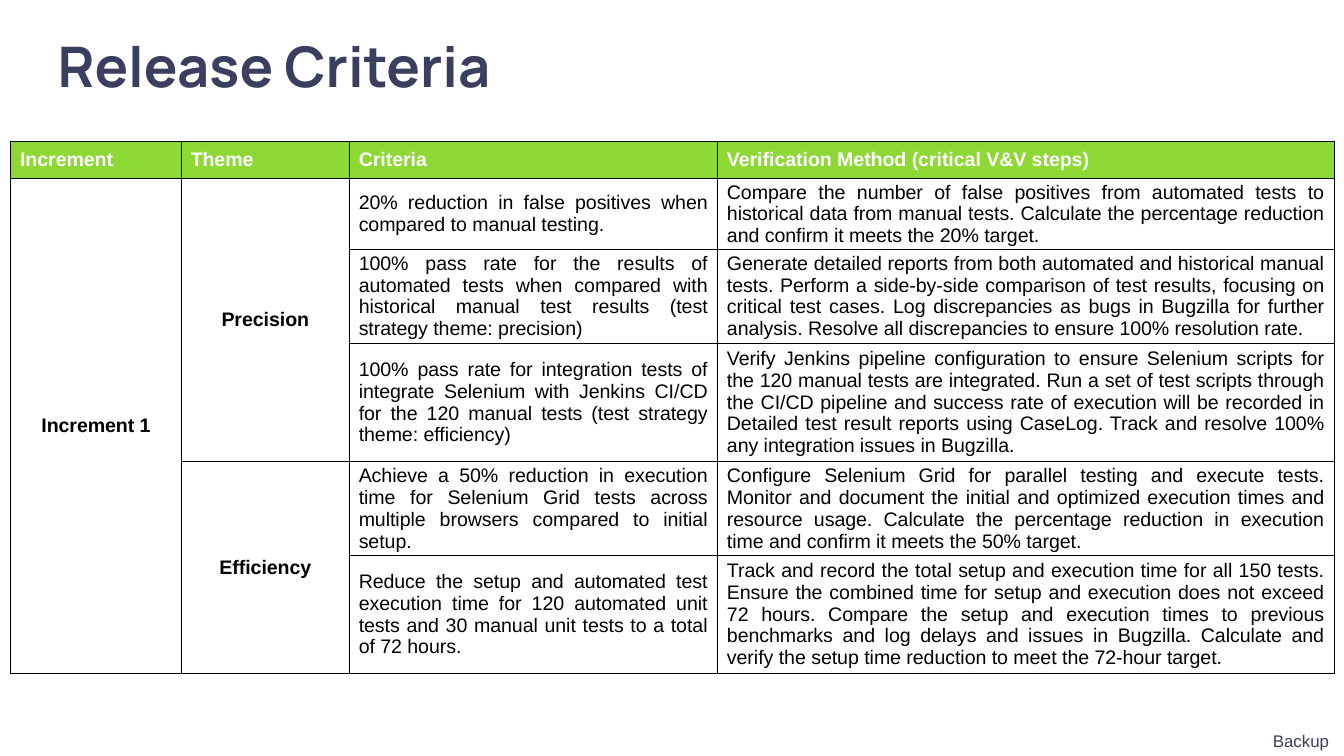
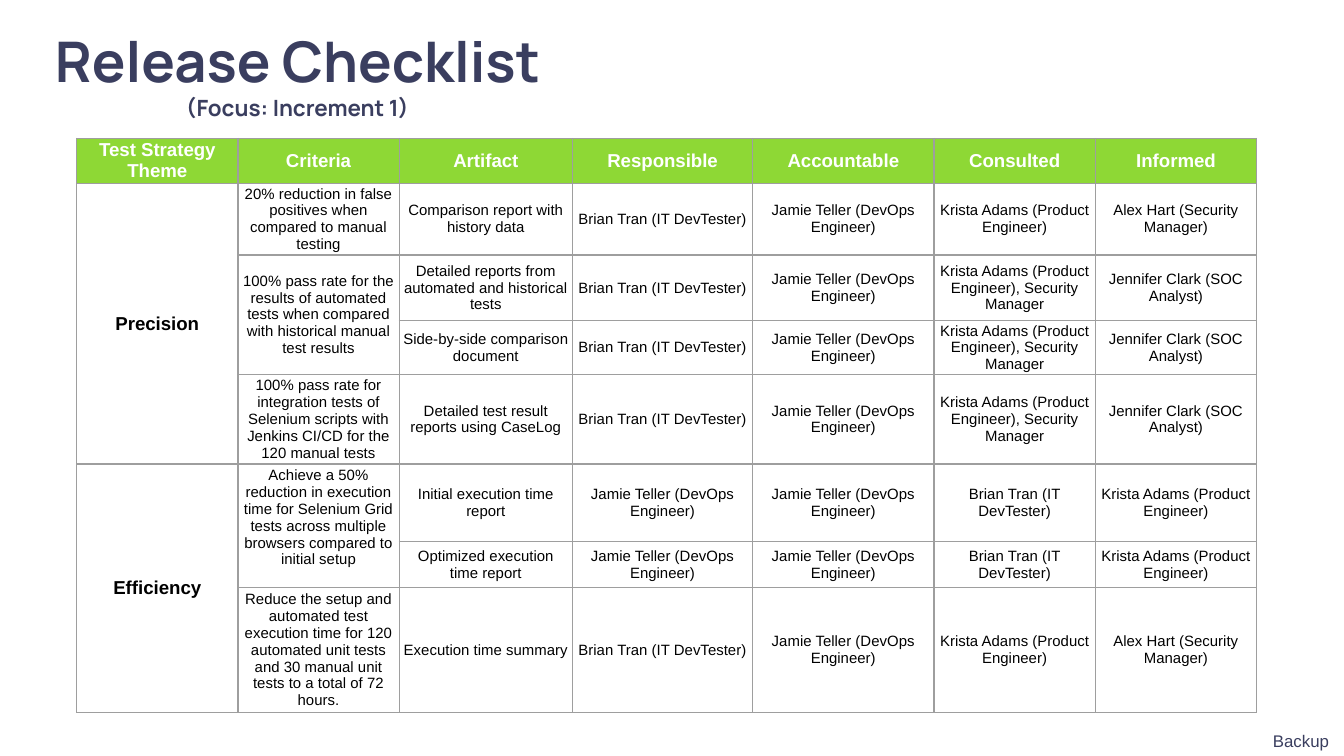
import pptx
import pptx.util
import pptx.dml.color
import pptx.enum.text
import pptx.oxml.ns
import lxml.etree

Inches = pptx.util.Inches
Pt = pptx.util.Pt
RGBColor = pptx.dml.color.RGBColor
ALIGN = pptx.enum.text.PP_ALIGN
ANCHOR = pptx.enum.text.MSO_ANCHOR
AUTO_SIZE = pptx.enum.text.MSO_AUTO_SIZE

# Shared colours and text formats
NAVY = RGBColor(0x3A, 0x3E, 0x5F)
GREEN = RGBColor(0x8E, 0xD8, 0x35)
WHITE = RGBColor(0xFF, 0xFF, 0xFF)
BLACK = RGBColor(0x00, 0x00, 0x00)
GREY = RGBColor(0x9E, 0x9E, 0x9E)

TITLE = {"name": "Manrope", "size": Pt(30), "bold": True}
SUBTITLE = {"name": "Manrope", "size": Pt(12), "bold": True}
FOOTER = {"name": "Arial", "size": Pt(9), "bold": False}
BORDER_WIDTH = Pt(0.75)
FRAME_SIDE = Inches(3.28)

# Release criteria: None continues the cell above
CRITERIA_ROWS = [
    ["Increment", "Theme", "Criteria", "Verification Method (critical V&V steps)"],
    ["Increment 1", "Precision",
     "20% reduction in false positives when compared to manual testing.",
     "Compare the number of false positives from automated tests to historical data "
     "from manual tests. Calculate the percentage reduction and confirm it meets the "
     "20% target."],
    [None, None,
     "100% pass rate for the results of automated tests when compared with historical "
     "manual test results (test strategy theme: precision)",
     "Generate detailed reports from both automated and historical manual tests. "
     "Perform a side-by-side comparison of test results, focusing on critical test "
     "cases. Log discrepancies as bugs in Bugzilla for further analysis. Resolve all "
     "discrepancies to ensure 100% resolution rate."],
    [None, None,
     "100% pass rate for integration tests of integrate Selenium with Jenkins CI/CD "
     "for the 120 manual tests (test strategy theme: efficiency)",
     "Verify Jenkins pipeline configuration to ensure Selenium scripts for the 120 "
     "manual tests are integrated. Run a set of test scripts through the CI/CD "
     "pipeline and success rate of execution will be recorded in Detailed test result "
     "reports using CaseLog. Track and resolve 100% any integration issues in "
     "Bugzilla."],
    [None, "Efficiency",
     "Achieve a 50% reduction in execution time for Selenium Grid tests across "
     "multiple browsers compared to initial setup.",
     "Configure Selenium Grid for parallel testing and execute tests. Monitor and "
     "document the initial and optimized execution times and resource usage. "
     "Calculate the percentage reduction in execution time and confirm it meets the "
     "50% target."],
    [None, None,
     "Reduce the setup and automated test execution time for 120 automated unit tests "
     "and 30 manual unit tests to a total of 72 hours.",
     "Track and record the total setup and execution time for all 150 tests. Ensure "
     "the combined time for setup and execution does not exceed 72 hours. Compare the "
     "setup and execution times to previous benchmarks and log delays and issues in "
     "Bugzilla. Calculate and verify the setup time reduction to meet the 72-hour "
     "target."],
]

# Release checklist, with the people who recur in it
TESTER = "Brian Tran (IT DevTester)"
DEVOPS = "Jamie Teller (DevOps Engineer)"
PRODUCT = "Krista Adams (Product Engineer)"
PRODUCT_SECURITY = PRODUCT + ", Security Manager"
SECURITY = "Alex Hart (Security Manager)"
ANALYST = "Jennifer Clark (SOC Analyst)"
REVIEWED = [TESTER, DEVOPS, PRODUCT_SECURITY, ANALYST]
SUMMARIZED = [TESTER, DEVOPS, PRODUCT, SECURITY]
TIMED = [DEVOPS, DEVOPS, TESTER, PRODUCT]

CHECKLIST_ROWS = [
    ["Test Strategy Theme", "Criteria", "Artifact",
     "Responsible", "Accountable", "Consulted", "Informed"],
    ["Precision",
     "20% reduction in false positives when compared to manual testing",
     "Comparison report with history data", *SUMMARIZED],
    [None,
     "100% pass rate for the results of automated tests when compared with historical "
     "manual test results",
     "Detailed reports from automated and historical tests", *REVIEWED],
    [None, None, "Side-by-side comparison document", *REVIEWED],
    [None,
     "100% pass rate for integration tests of Selenium scripts with Jenkins CI/CD for "
     "the 120 manual tests",
     "Detailed test result reports using CaseLog", *REVIEWED],
    ["Efficiency",
     "Achieve a 50% reduction in execution time for Selenium Grid tests across "
     "multiple browsers compared to initial setup",
     "Initial execution time report", *TIMED],
    [None, None, "Optimized execution time report", *TIMED],
    [None,
     "Reduce the setup and automated test execution time for 120 automated unit tests "
     "and 30 manual unit tests to a total of 72 hours.",
     "Execution time summary", *SUMMARIZED],
]


def write(para, text, style, color, align):
    para.alignment = align
    span = para.add_run()
    span.text = text
    for name, value in style.items():
        setattr(span.font, name, value)
    span.font.color.rgb = color


def add_text(page, box, lines, align, anchor):
    """Place (text, style) lines in a box of left, top, width, height."""
    frame = page.shapes.add_textbox(*(Inches(value) for value in box)).text_frame
    frame.word_wrap = True
    frame.vertical_anchor = anchor
    for side in ("left", "top", "right", "bottom"):
        setattr(frame, "margin_" + side, Inches(0.1))
    for index, (text, style) in enumerate(lines):
        para = frame.add_paragraph() if index else frame.paragraphs[0]
        write(para, text, style, NAVY, align)
    return frame


def add_borders(cell, color):
    properties = cell._tc.get_or_add_tcPr()
    for side in ("lnL", "lnR", "lnT", "lnB"):
        line = lxml.etree.SubElement(properties, pptx.oxml.ns.qn("a:" + side),
                                     w=str(BORDER_WIDTH))
        solid = lxml.etree.SubElement(line, pptx.oxml.ns.qn("a:solidFill"))
        lxml.etree.SubElement(solid, pptx.oxml.ns.qn("a:srgbClr"), val=str(color))


def add_grid(page, corner, widths, heights, rows, look):
    """Draw a table whose first look["themes"] columns hold bold row headings."""
    left, top = (Inches(value) for value in corner)
    holder = page.shapes.add_table(len(rows), len(widths), left, top,
                                   FRAME_SIDE, FRAME_SIDE)
    table = holder.table
    table.first_row = table.horz_banding = False
    for column, width in zip(table.columns, widths):
        column.width = Inches(width)
    for row, height in zip(table.rows, heights):
        row.height = Inches(height)
    # A small frame lets each row grow only as far as its text
    holder.width = holder.height = FRAME_SIDE

    for r, texts in enumerate(rows):
        for c, text in enumerate(texts):
            cell = table.cell(r, c)
            cell.margin_left = cell.margin_right = Inches(look["margin"])
            cell.margin_top = cell.margin_bottom = 0
            cell.vertical_anchor = ANCHOR.MIDDLE
            add_borders(cell, look["border"])
            if r == 0:
                cell.fill.solid()
                cell.fill.fore_color.rgb = GREEN
            else:
                cell.fill.background()
            if text is None:
                continue

            # Span the empty entries below
            last = r
            while last + 1 < len(rows) and rows[last + 1][c] is None:
                last += 1
            if last > r:
                cell.merge(table.cell(last, c))

            theme = r > 0 and c < look["themes"]
            heading = r == 0 or theme
            style = {"name": "Arial", "bold": heading,
                     "size": look["heading_size"] if heading else look["body_size"]}
            write(cell.text_frame.paragraphs[0], text, style,
                  BLACK if r else WHITE, ALIGN.CENTER if theme else look["align"])
    return table


def add_page(deck):
    page = deck.slides.add_slide(deck.slide_layouts[6])
    footer = add_text(page, (9.36, 5.36, 0.64, 0.24), [("Backup", FOOTER)],
                      ALIGN.CENTER, ANCHOR.TOP)
    footer.auto_size = AUTO_SIZE.SHAPE_TO_FIT_TEXT
    return page


def add_criteria_page(deck):
    page = add_page(deck)
    add_text(page, (0.33, 0.17, 6.02, 0.63), [("Release Criteria", TITLE)],
             ALIGN.LEFT, ANCHOR.MIDDLE)
    look = {"margin": 0.07, "border": BLACK, "themes": 2, "align": ALIGN.JUSTIFY,
            "heading_size": Pt(10.5), "body_size": Pt(10.5)}
    table = add_grid(page, (0.08, 1.05), [1.27, 1.25, 2.74, 4.59],
                     [0.28, 0.52, 0.61, 0.88, 0.7, 0.79], CRITERIA_ROWS, look)
    # The first two spanning cells have wider insets
    for column in range(2):
        cell = table.cell(1, column)
        cell.margin_left = cell.margin_right = Inches(0.1)
        cell.margin_top = cell.margin_bottom = Inches(0.05)


def add_checklist_page(deck):
    page = add_page(deck)
    add_text(page, (-0.73, 0, 5.89, 1.1),
             [("Release Checklist", TITLE), ("（Focus: Increment 1）", SUBTITLE)],
             ALIGN.CENTER, ANCHOR.MIDDLE)
    look = {"margin": 0.02, "border": GREY, "themes": 1, "align": ALIGN.CENTER,
            "heading_size": Pt(10), "body_size": Pt(8)}
    table = add_grid(page, (0.57, 1.03), [1.2, 1.2, 1.29, 1.34, 1.35, 1.2, 1.2],
                     [0.17, 0.44, 0.49, 0.11, 0.44, 0.58, 0.22, 0.72],
                     CHECKLIST_ROWS, look)
    # The execution time criterion sits higher in its cell
    table.cell(5, 1).margin_bottom = Inches(0.12)


def main():
    deck = pptx.Presentation()
    deck.slide_width = Pt(720)
    deck.slide_height = Pt(405)
    add_criteria_page(deck)
    add_checklist_page(deck)
    deck.save("out.pptx")


if __name__ == "__main__":
    main()
